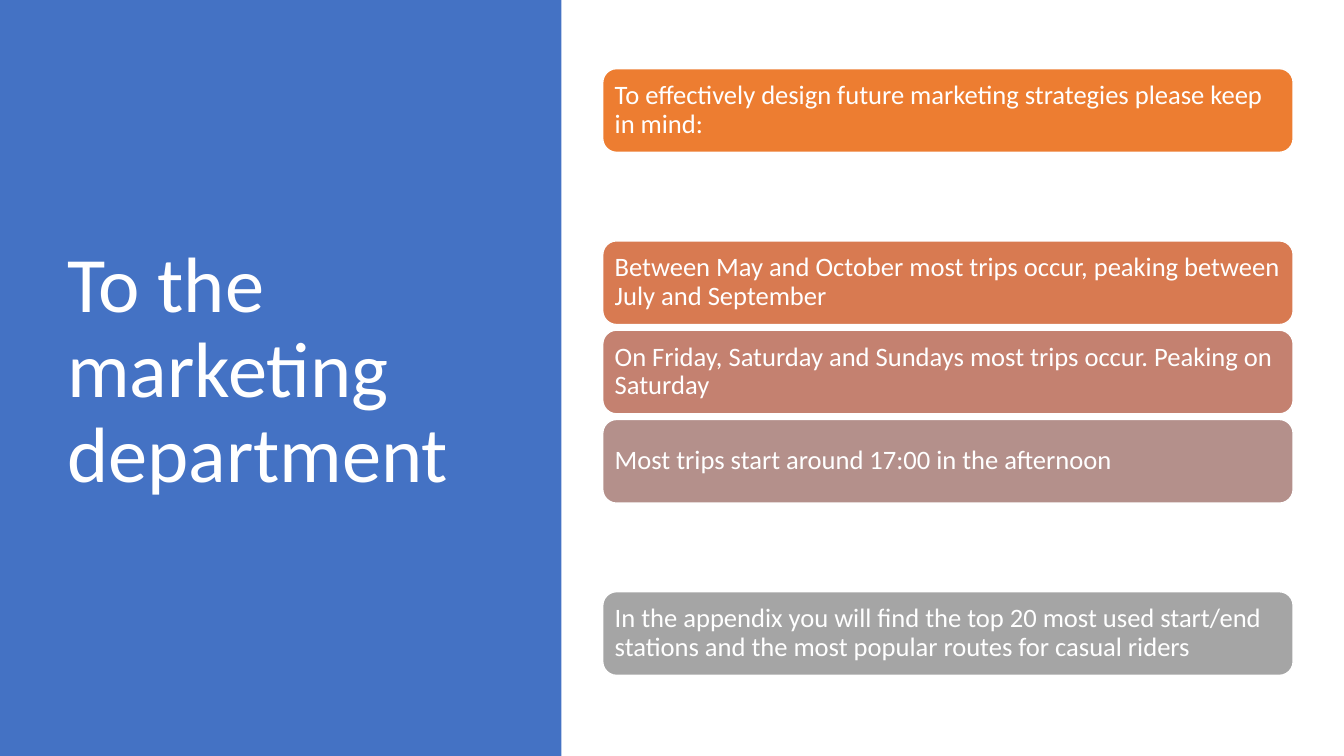
from dataclasses import dataclass

from pptx import Presentation
from pptx.dml.color import RGBColor
from pptx.enum.shapes import MSO_SHAPE
from pptx.enum.text import MSO_ANCHOR, PP_ALIGN
from pptx.util import Cm, Pt

RECT = MSO_SHAPE.RECTANGLE
ROUNDED = MSO_SHAPE.ROUNDED_RECTANGLE
MIDDLE = MSO_ANCHOR.MIDDLE
LEFT = PP_ALIGN.LEFT


@dataclass(frozen=True)
class Theme:
    font: str = "Calibri"
    white: str = "FFFFFF"
    panel: str = "4472C4"
    cards: tuple = ("ED7D31", "D87A51", "C48170", "B4908B", "A5A5A5")
    title_size: int = 56
    card_size: int = 19
    line_spacing: float = 0.9


class SlideBuilder:
    def __init__(self, slide, theme):
        self.s = slide
        self.theme = theme

    def add_text(self, tf, text, size):
        tf.word_wrap = True
        tf.vertical_anchor = MIDDLE
        p = tf.paragraphs[0]
        p.alignment = LEFT
        p.line_spacing = self.theme.line_spacing
        r = p.add_run()
        r.text = text
        r.font.name = self.theme.font
        r.font.size = Pt(size)
        r.font.color.rgb = RGBColor.from_string(self.theme.white)

    def shape(self, kind, box, fill):
        sp = self.s.shapes.add_shape(kind, *map(Cm, box))
        sp.shadow.inherit = False
        sp.fill.solid()
        sp.fill.fore_color.rgb = RGBColor.from_string(fill)
        return sp

    def panel(self, box):
        sp = self.shape(RECT, box, self.theme.panel)
        sp.line.fill.background()

    def title(self, box, text):
        sp = self.s.shapes.add_textbox(*map(Cm, box))
        self.add_text(sp.text_frame, text, self.theme.title_size)

    def card(self, box, text, fill):
        sp = self.shape(ROUNDED, box, fill)
        sp.line.color.rgb = RGBColor.from_string(self.theme.white)
        sp.line.width = Pt(1)
        tf = sp.text_frame
        tf.margin_left = tf.margin_right = Cm(0.2)
        tf.margin_top = tf.margin_bottom = Cm(0.2)
        self.add_text(tf, text, self.theme.card_size)


CARD_GROUPS = [
    ["To effectively design future marketing strategies please keep in mind:"],
    [
        "Between May and October most trips occur, peaking between July and September",
        "On Friday, Saturday and Sundays most trips occur. Peaking on Saturday",
        "Most trips start around 17:00 in the afternoon",
    ],
    [
        "In the appendix you will find the top 20 most used start/end stations "
        "and the most popular routes for casual riders"
    ],
]
CARD_LEFT, CARD_WIDTH, CARD_HEIGHT = 15.19, 17.4, 2.11
CARD_STEP, GROUP_GAP = 2.25, 2.09
CONTENT_TOP = 1.73


def main():
    prs = Presentation()
    prs.slide_width, prs.slide_height = Cm(33.87), Cm(19.05)
    theme = Theme()
    builder = SlideBuilder(prs.slides.add_slide(prs.slide_layouts[6]), theme)

    builder.panel((0, 0, 14.15, 19.05))
    builder.title((1.45, CONTENT_TOP, 10.57, 15.29), "To the marketing department")

    fills = iter(theme.cards)
    top = CONTENT_TOP
    for group in CARD_GROUPS:
        for text in group:
            builder.card((CARD_LEFT, top, CARD_WIDTH, CARD_HEIGHT), text, next(fills))
            top += CARD_STEP
        top += GROUP_GAP

    prs.save("out.pptx")


if __name__ == "__main__":
    main()
